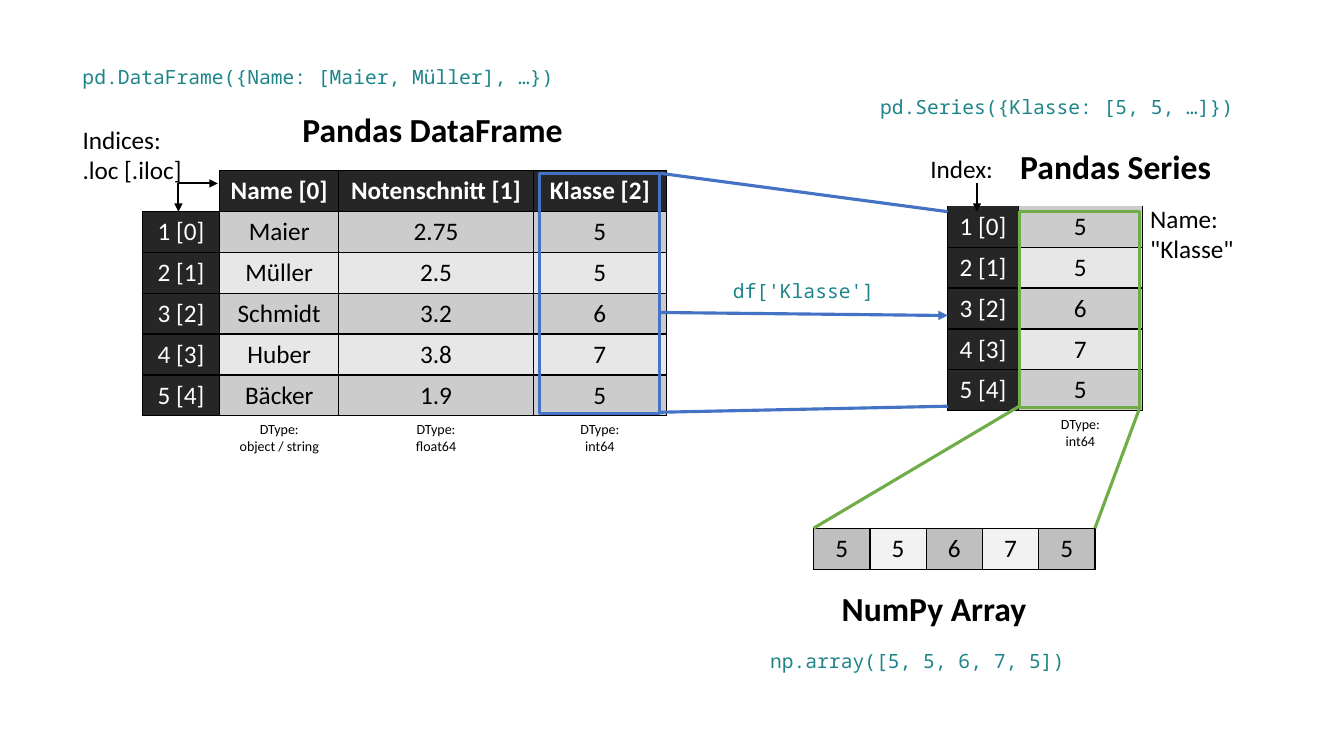
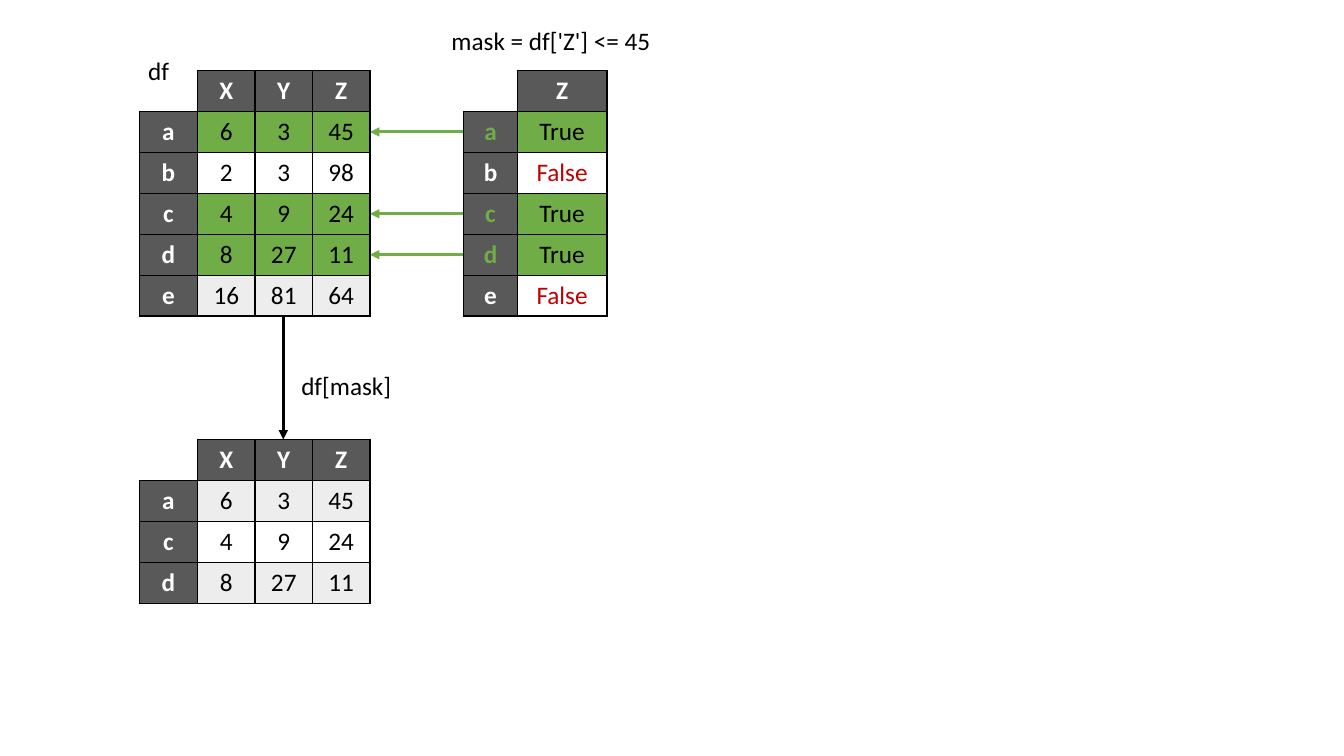
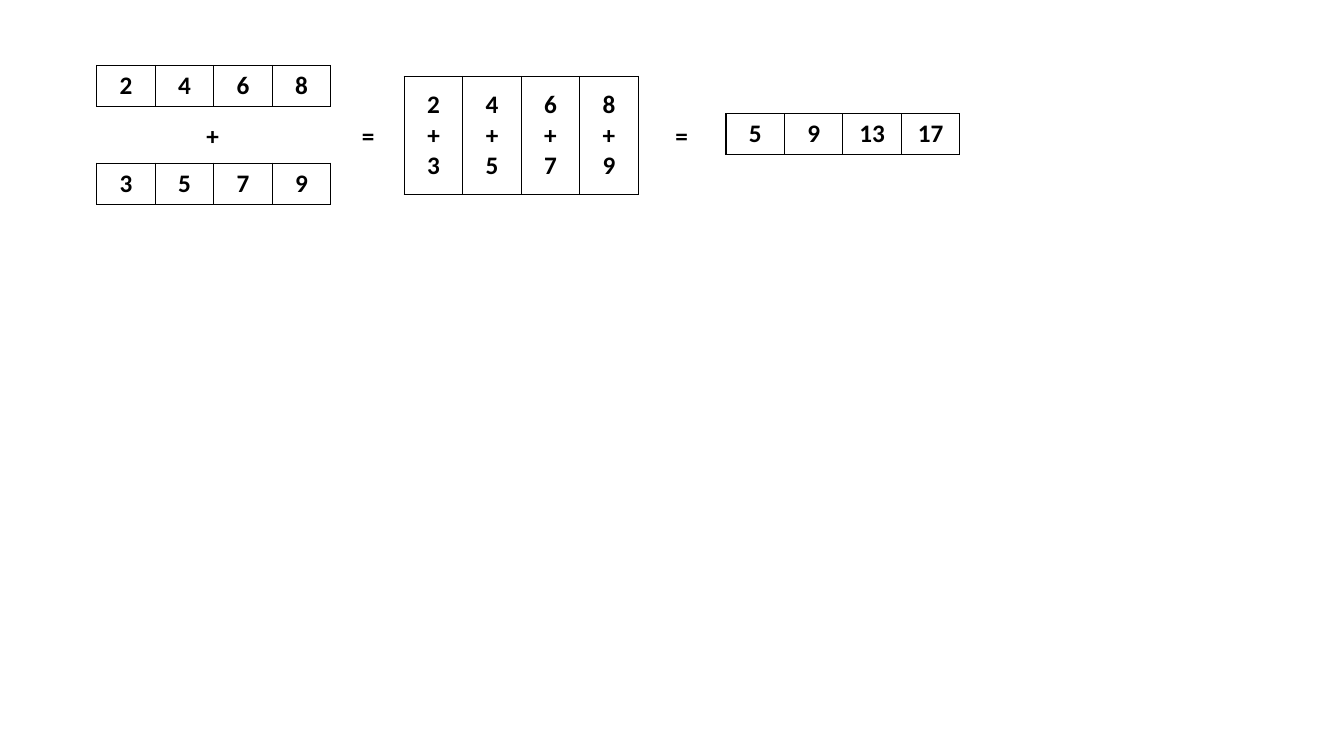
from dataclasses import dataclass, replace
from typing import Optional

from lxml.etree import SubElement
from pptx import Presentation
from pptx.dml.color import RGBColor
from pptx.enum.shapes import MSO_CONNECTOR, MSO_SHAPE
from pptx.enum.text import MSO_ANCHOR, MSO_AUTO_SIZE, PP_ALIGN
from pptx.oxml.ns import qn
from pptx.util import Inches, Pt

BLACK = RGBColor(0x00, 0x00, 0x00)
WHITE = RGBColor(0xFF, 0xFF, 0xFF)
COAL = RGBColor(0x26, 0x26, 0x26)
SLATE = RGBColor(0x59, 0x59, 0x59)
ASH = RGBColor(0xBF, 0xBF, 0xBF)
SILVER = RGBColor(0xCC, 0xCC, 0xCC)
MIST = RGBColor(0xE7, 0xE7, 0xE7)
PEARL = RGBColor(0xED, 0xED, 0xED)
SNOW = RGBColor(0xF2, 0xF2, 0xF2)
GREEN = RGBColor(0x70, 0xAD, 0x47)
BLUE = RGBColor(0x44, 0x72, 0xC4)
RED = RGBColor(0xC0, 0x00, 0x00)
TEAL = RGBColor(0x1D, 0x85, 0x89)

BODY_FONT = "Calibri"
CODE_FONT = "Noto Sans Mono"
NO_TABLE_STYLE = "{2D5ABB26-0587-4C30-8999-92F81FD0307C}"
UNITS_HIGH = 75  # square grid units down the slide
ROW = 4.06  # table row height in grid units


@dataclass(frozen=True)
class TextStyle:
    size: int = 18
    color: RGBColor = BLACK
    bold: bool = False
    font: str = BODY_FONT


@dataclass(frozen=True)
class CellStyle:
    fill: Optional[RGBColor] = None
    text: TextStyle = TextStyle()
    sides: str = "LRTB"


PLAIN = TextStyle()
BOLD = TextStyle(bold=True)
TITLE = TextStyle(size=24, bold=True)
CODE = TextStyle(size=14, color=TEAL, font=CODE_FONT)
WHITE_BOLD = TextStyle(color=WHITE, bold=True)

COAL_HEADER = CellStyle(COAL, WHITE_BOLD)
COAL_INDEX = CellStyle(COAL, TextStyle(color=WHITE))
TYPE_NOTE = CellStyle(None, TextStyle(size=10), "")
SLATE_HEADER = CellStyle(SLATE, WHITE_BOLD)
SLATE_MATCH = CellStyle(SLATE, TextStyle(color=GREEN, bold=True))
MATCH = CellStyle(GREEN)
MISS = CellStyle(None, TextStyle(color=RED))
BLANK = ("", CellStyle(sides=""))


class Sketch:
    """Draws on the current slide; all lengths are grid units."""

    def __init__(self):
        self.deck = Presentation()
        self.deck.slide_width = Inches(13.33)
        self.deck.slide_height = Inches(7.5)
        self.unit = self.deck.slide_height / UNITS_HIGH
        self.shapes = None

    def new_slide(self):
        self.shapes = self.deck.slides.add_slide(self.deck.slide_layouts[6]).shapes

    def scale(self, *lengths):
        return [round(length * self.unit) for length in lengths]

    def add_text(self, text_frame, text, style, align=PP_ALIGN.LEFT):
        for number, words in enumerate(text.split("\n")):
            para = text_frame.add_paragraph() if number else text_frame.paragraphs[0]
            para.alignment = align
            span = para.add_run()
            span.text = words
            span.font.name = style.font
            span.font.size = Pt(style.size)
            span.font.bold = style.bold
            span.font.color.rgb = style.color

    def label(self, left, top, width, height, text, style=PLAIN):
        box = self.shapes.add_textbox(*self.scale(left, top, width, height))
        box.text_frame.word_wrap = False
        box.text_frame.auto_size = MSO_AUTO_SIZE.SHAPE_TO_FIT_TEXT
        self.add_text(box.text_frame, text, style)

    def outline(self, left, top, width, height, color):
        box = self.shapes.add_shape(MSO_SHAPE.RECTANGLE, *self.scale(left, top, width, height))
        box.shadow.inherit = False
        box.fill.background()
        box.line.color.rgb = color
        box.line.width = Pt(2.25)

    def line(self, start, end, color=BLACK, weight=2.25, arrow=True):
        link = self.shapes.add_connector(MSO_CONNECTOR.STRAIGHT, *self.scale(*start, *end))
        link.line.color.rgb = color
        link.line.width = Pt(weight)
        properties = link.element.spPr
        if arrow:
            SubElement(properties.find(qn("a:ln")), qn("a:tailEnd"), type="triangle")
        SubElement(properties, qn("a:effectLst"))

    def table(self, left, top, widths, rows, row_height=ROW):
        """Each row is a list of (text, CellStyle) pairs."""
        size = self.scale(left, top, sum(widths), row_height * len(rows))
        frame = self.shapes.add_table(len(rows), len(widths), *size)
        frame.element.find(".//" + qn("a:tableStyleId")).text = NO_TABLE_STYLE
        table = frame.table
        table.first_row = table.horz_banding = False
        for column, width in zip(table.columns, self.scale(*widths)):
            column.width = width
        for row, entries in zip(table.rows, rows):
            row.height = self.scale(row_height)[0]
            for cell, (text, style) in zip(row.cells, entries):
                self.fill_cell(cell, text, style)

    def fill_cell(self, cell, text, style):
        cell.vertical_anchor = MSO_ANCHOR.MIDDLE
        properties = cell._tc.get_or_add_tcPr()
        for side in style.sides:
            border = SubElement(properties, qn(f"a:ln{side}"), w=str(Pt(1)))
            paint = SubElement(border, qn("a:solidFill"))
            SubElement(paint, qn("a:srgbClr"), val=str(BLACK))
        if style.fill is None:
            cell.fill.background()
        else:
            cell.fill.solid()
            cell.fill.fore_color.rgb = style.fill
        if text:
            self.add_text(cell.text_frame, text, style.text, PP_ALIGN.CENTER)


def styled(texts, style):
    return [(text, style) for text in texts]


def banded_rows(records):
    """Rows with a dark index cell and alternating grey values."""
    return [
        [(f"{number + 1} [{number}]", COAL_INDEX)]
        + styled(record, CellStyle(MIST if number % 2 else SILVER))
        for number, record in enumerate(records)
    ]


def type_row(*types):
    return [BLANK] + styled([f"DType:\n{name}" for name in types], TYPE_NOTE)


def draw_structures(sketch):
    sketch.new_slide()
    pupils = [
        ("Maier", "2.75", "5"),
        ("Müller", "2.5", "5"),
        ("Schmidt", "3.2", "6"),
        ("Huber", "3.8", "7"),
        ("Bäcker", "1.9", "5"),
    ]
    classes = [pupil[-1] for pupil in pupils]
    headers = styled(["Name [0]", "Notenschnitt [1]", "Klasse [2]"], COAL_HEADER)
    sketch.table(
        14.1, 16.9, [7.7, 11.8, 19.3, 13.2],
        [[BLANK] + headers, *banded_rows(pupils), type_row("object / string", "float64", "int64")],
    )
    series = banded_rows(classes)
    series[0] = [(text, replace(style, sides="LRB")) for text, style in series[0]]
    sketch.table(94, 16.4, [7, 12.3], [[BLANK] * 2, *series, type_row("int64")])
    array = [(value, CellStyle(SNOW if number % 2 else ASH)) for number, value in enumerate(classes)]
    sketch.table(80.7, 52.4, [5.58] * len(array), [array])

    for start, end in [
        ((17.7, 18.2), (21.6, 18.2)),
        ((17.7, 18.2), (17.7, 21)),
        ((96.9, 18.2), (96.9, 21)),
    ]:
        sketch.line(start, end, weight=1.5)

    sketch.outline(101.1, 21, 11.9, 19.4, GREEN)
    sketch.line((101.1, 40.3), (80.7, 52.4), GREEN, arrow=False)
    sketch.line((113.1, 40.3), (108.6, 52.4), GREEN, arrow=False)
    sketch.outline(53.5, 17.2, 11.9, 23.8, BLUE)
    sketch.line((65.5, 17.2), (94, 21), BLUE, arrow=False)
    sketch.line((65.5, 40.9), (94, 40.3), BLUE, arrow=False)
    sketch.line((65.5, 31), (94, 31.3), BLUE)

    for left, top, width, text in [
        (29, 10.3, 28.1, "Pandas DataFrame"),
        (100.2, 14, 21.1, "Pandas Series"),
        (82.5, 57.8, 20.5, "NumPy Array"),
    ]:
        sketch.label(left, top, width, 5, text, TITLE)
    for left, top, width, text in [
        (7.2, 5.9, 49, "pd.DataFrame({Name: [Maier, Müller], …})"),
        (86.3, 8.9, 38.4, "pd.Series({Klasse: [5, 5, …]})"),
        (75.4, 63.9, 31.4, "np.array([5, 5, 6, 7, 5])"),
        (71.7, 27.2, 16.1, "df['Klasse']"),
    ]:
        sketch.label(left, top, width, 3.4, text, CODE)
    sketch.label(7.2, 11.8, 11.9, 7.1, "Indices:\n.loc [.iloc]")
    sketch.label(91.3, 14.7, 8.3, 4, "Index:")
    sketch.label(113.1, 19.7, 10.4, 7.1, 'Name:\n"Klasse"')


def draw_mask(sketch):
    sketch.new_slide()
    records = {
        "a": (6, 3, 45),
        "b": (2, 3, 98),
        "c": (4, 9, 24),
        "d": (8, 27, 11),
        "e": (16, 81, 64),
    }
    selected = [key for key, record in records.items() if record[-1] <= 45]
    top, left, mask_left = 7, 13.8, 46
    widths = [5.8, 5.7, 5.7, 5.7]
    right = left + sum(widths)
    header = [BLANK] + styled("XYZ", SLATE_HEADER)

    def record_rows(keys, matches=()):
        rows = [header]
        for number, key in enumerate(keys):
            band = CellStyle(None if number % 2 else PEARL)
            style = MATCH if key in matches else band
            rows.append([(key, SLATE_HEADER)] + styled(map(str, records[key]), style))
        return rows

    mask_rows = [[BLANK, ("Z", SLATE_HEADER)]]
    for number, key in enumerate(records):
        if key in selected:
            mask_rows.append([(key, SLATE_MATCH), ("True", MATCH)])
            middle = top + (number + 1.5) * ROW
            sketch.line((mask_left, middle), (right, middle), GREEN)
        else:
            mask_rows.append([(key, SLATE_HEADER), ("False", MISS)])

    sketch.table(left, top, widths, record_rows(records, selected))
    sketch.table(mask_left, top, [5.3, 8.9], mask_rows)
    sketch.table(left, 43.6, widths, record_rows(selected))
    sketch.line((28.1, 31.4), (28.1, 43.6))
    sketch.label(13.7, 5, 4.1, 4, "df")
    sketch.label(43.8, 2, 22, 4, "mask = df['Z'] <= 45")
    sketch.label(28.9, 36.2, 11, 4, "df[mask]")


def draw_addition(sketch):
    sketch.new_slide()
    first, second = (2, 4, 6, 8), (3, 5, 7, 9)
    pairs = list(zip(first, second))
    sums = [f"{one}\n+\n{two}" for one, two in pairs]
    totals = [one + two for one, two in pairs]
    for left, top, values, height in [
        (9.6, 6.5, first, ROW),
        (9.6, 16.2, second, ROW),
        (40.1, 7.6, sums, 11.7),
        (72, 11.3, totals, ROW),
    ]:
        cells = styled(map(str, values), CellStyle(text=BOLD))
        sketch.table(left, top, [5.8] * len(cells), [cells], height)
    for left, sign in [(19.5, "+"), (34.9, "="), (66, "=")]:
        sketch.label(left, 11.4, 3.3, 4, sign, BOLD)


def main():
    sketch = Sketch()
    draw_structures(sketch)
    draw_mask(sketch)
    draw_addition(sketch)
    sketch.deck.save("out.pptx")


if __name__ == "__main__":
    main()
